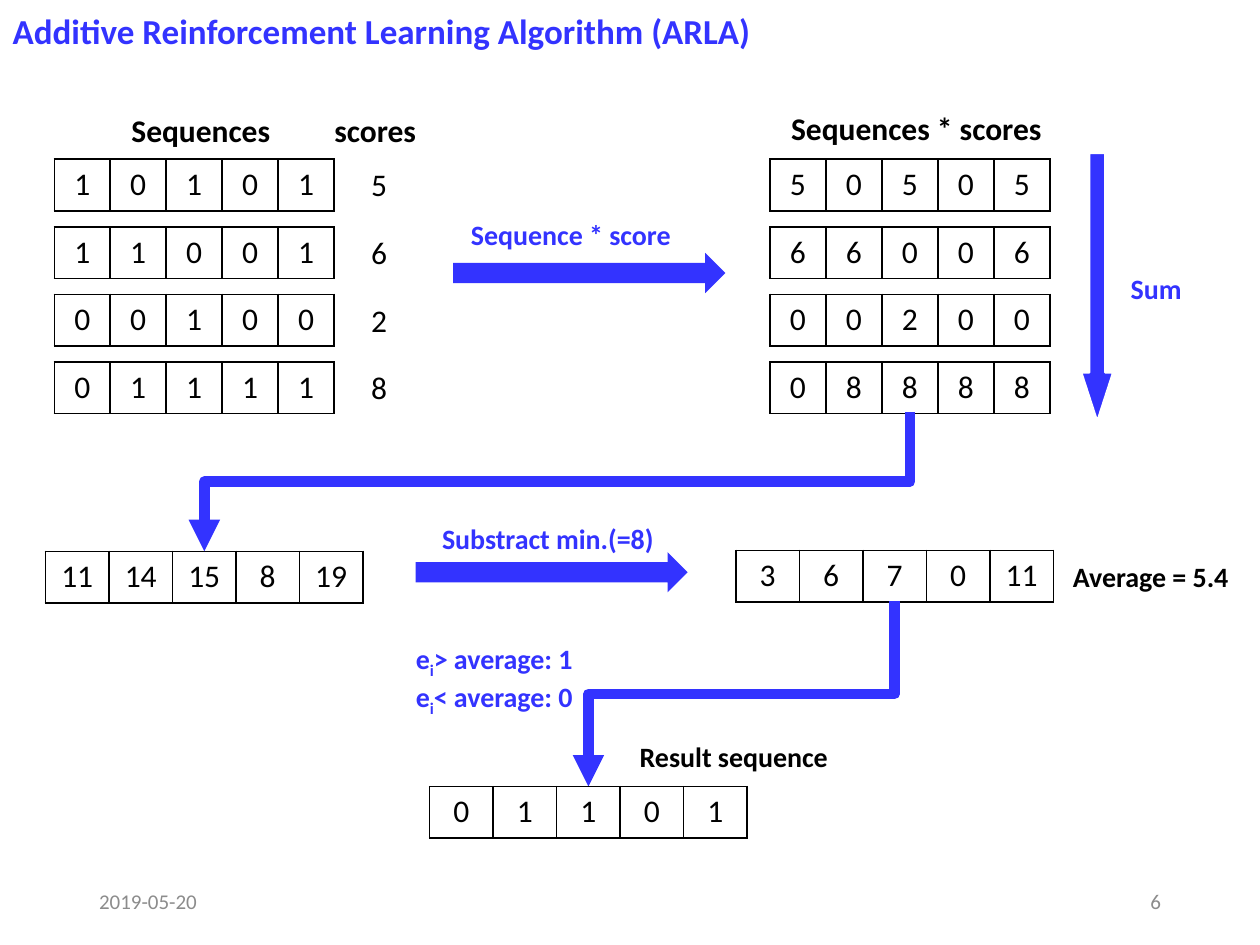
from lxml import etree
from pptx import Presentation
from pptx.dml.color import RGBColor
from pptx.enum import shapes, text
from pptx.oxml import ns
from pptx.util import Pt

BLUE = RGBColor(0x33, 0x33, 0xFF)
BLACK = RGBColor(0, 0, 0)
WHITE = RGBColor(0xFF, 0xFF, 0xFF)
GRAY = RGBColor(0x8C, 0x8C, 0x8C)
FONT = "Calibri"

ROW_HEIGHT = 29.5
ROW_PITCH = 38.6
NARROW, WIDE = 32, 36.3

SEQUENCES = [(1, 0, 1, 0, 1), (1, 1, 0, 0, 1), (0, 0, 1, 0, 0), (0, 1, 1, 1, 1)]
SCORES = [5, 6, 2, 8]
PRODUCTS = [[bit * score for bit in row] for row, score in zip(SEQUENCES, SCORES)]
SUMS = [sum(column) for column in zip(*PRODUCTS)]
DIFFERENCES = [value - min(SUMS) for value in SUMS]
AVERAGE = sum(DIFFERENCES) / len(DIFFERENCES)
RESULT = [int(value > AVERAGE) for value in DIFFERENCES]


def add_run(paragraph, content, size, color, bold=False):
    """Append one formatted run and return it."""
    run = paragraph.add_run()
    run.text = content
    font = run.font
    font.name, font.size, font.bold = FONT, Pt(size), bold
    font.color.rgb = color
    return run


def add_label(slide, box, content, size=16, color=BLACK, bold=True):
    """Place a one-line label in a box and return its paragraph."""
    shape = slide.shapes.add_textbox(*map(Pt, box))
    shape.text_frame.word_wrap = True
    paragraph = shape.text_frame.paragraphs[0]
    if content:
        add_run(paragraph, content, size, color, bold)
    return paragraph


def outline_cell(cell):
    """Give a cell thin black borders and no fill."""
    cell.fill.background()
    properties = cell._tc.get_or_add_tcPr()
    for index, side in enumerate(("lnL", "lnR", "lnT", "lnB")):
        line = etree.Element(ns.qn(f"a:{side}"), w=str(Pt(1)))
        fill = etree.SubElement(line, ns.qn("a:solidFill"))
        etree.SubElement(fill, ns.qn("a:srgbClr"), val=str(BLACK))
        properties.insert(index, line)


def add_sequence(slide, left, top, values, cell_width):
    """Draw a sequence as a table of one row."""
    frame = slide.shapes.add_table(1, len(values), Pt(left), Pt(top),
                                   Pt(cell_width * len(values)), Pt(ROW_HEIGHT))
    table = frame.table
    table.first_row = table.horz_banding = False
    for column, cell, value in zip(table.columns, table.rows[0].cells, values):
        column.width = Pt(cell_width)
        outline_cell(cell)
        paragraph = cell.text_frame.paragraphs[0]
        paragraph.alignment = text.PP_ALIGN.CENTER
        add_run(paragraph, str(value), 18, BLACK)


def add_sequence_stack(slide, left, top, rows):
    """Draw sequences below one another at an equal pitch."""
    for index, values in enumerate(rows):
        add_sequence(slide, left, top + index * ROW_PITCH, values, NARROW)


def add_block_arrow(slide, left, top, width, height):
    """Draw a blue block arrow pointing right and return it."""
    arrow = slide.shapes.add_shape(shapes.MSO_SHAPE.RIGHT_ARROW,
                                   *map(Pt, (left, top, width, height)))
    arrow.shadow.inherit = False
    arrow.fill.solid()
    arrow.fill.fore_color.rgb = BLUE
    arrow.line.fill.background()
    return arrow


def add_bent_arrow(slide, start_x, start_y, end_x, end_y):
    """Draw a thick elbow arrow that goes down, left and down again."""
    middle_x, middle_y = (start_x + end_x) / 2, (start_y + end_y) / 2
    half_drop, half_run = (end_y - start_y) / 2, (start_x - end_x) / 2
    connector = slide.shapes.add_connector(
        shapes.MSO_CONNECTOR.ELBOW,
        Pt(middle_x - half_drop), Pt(middle_y - half_run),
        Pt(middle_x + half_drop), Pt(middle_y + half_run))
    connector.line.color.rgb = BLUE
    connector.line.width = Pt(6)
    properties = connector._element.spPr
    properties.find(ns.qn("a:xfrm")).set("rot", "5400000")
    etree.SubElement(connector.line._get_or_add_ln(), ns.qn("a:tailEnd"), type="triangle")
    etree.SubElement(properties, ns.qn("a:effectLst"))


def add_title(slide, left, top, width, height):
    """Move and format the title placeholder."""
    title = slide.shapes.title
    title.left, title.top, title.width, title.height = map(Pt, (left, top, width, height))
    frame = title.text_frame
    frame.word_wrap = False
    frame.auto_size = text.MSO_AUTO_SIZE.NONE
    frame.vertical_anchor = text.MSO_ANCHOR.TOP
    paragraph = frame.paragraphs[0]
    paragraph.alignment = text.PP_ALIGN.LEFT
    add_run(paragraph, "Additive Reinforcement Learning Algorithm (ARLA)", 20, BLUE, True)


def add_scored_sequences(slide, left, top):
    """Draw the input sequences with their scores."""
    add_label(slide, (left + 37, top, 98, 29), "Sequences", 18)
    add_label(slide, (left + 153, top, 61, 29), "scores", 18)
    add_sequence_stack(slide, left, top + 31, SEQUENCES)
    for index, score in enumerate(SCORES):
        box = (left + 174, top + 31 + index * ROW_PITCH, 20, 29)
        add_label(slide, box, str(score), 18, bold=False)


def add_products(slide, left, top):
    """Draw the weighted sequences and the arrow that sums them."""
    add_label(slide, (left + 5, top - 1.5, 160, 29), "Sequences * scores", 18)
    add_sequence_stack(slide, left, top + 31, PRODUCTS)
    arrow = add_block_arrow(slide, left + 110, top + 95, 154, 18.5)
    arrow.rotation = 90
    arrow.adjustments[1] = 1.54
    arrow.line.color.rgb = WHITE
    arrow.line.width = Pt(1.5)
    add_label(slide, (left + 199, top + 91.5, 44, 27), "Sum", color=BLUE)


def add_step(slide, left, top, caption, caption_left, caption_top):
    """Draw a step arrow with its caption offset from the arrow."""
    add_block_arrow(slide, left, top, 155.5, 23)
    add_label(slide, (left + caption_left, top + caption_top, 140, 27), caption, color=BLUE)


def add_rules(slide, left, top):
    """Write the two threshold rules with subscripts."""
    first = add_label(slide, (left, top, 106, 46), "")
    second = first._parent.add_paragraph()
    for paragraph, rule in ((first, "> average: 1"), (second, "< average: 0")):
        add_run(paragraph, "e", 16, BLUE, True)
        subscript = add_run(paragraph, "i", 16, BLUE, True)
        subscript.font._element.set("baseline", "-25000")
        add_run(paragraph, rule, 16, BLUE, True)


def add_footer(slide, left, top, width, height):
    """Place the date and the slide number at the two ends."""
    for offset, content, alignment in ((0, "2019-05-20", text.PP_ALIGN.LEFT),
                                       (width - 162, "6", text.PP_ALIGN.RIGHT)):
        paragraph = add_label(slide, (left + offset, top, 162, height),
                              content, 12, GRAY, False)
        paragraph.alignment = alignment
        paragraph._parent.vertical_anchor = text.MSO_ANCHOR.MIDDLE


def main():
    """Build the slide and save it."""
    presentation = Presentation()
    presentation.slide_width, presentation.slide_height = Pt(720), Pt(540)
    slide = presentation.slides.add_slide(presentation.slide_layouts[5])
    add_title(slide, 0, 2, 440, 31.5)
    add_scored_sequences(slide, 31, 60)
    add_step(slide, 259, 144.5, "Sequence * score", 3, -24)
    add_products(slide, 440, 60)
    add_sequence(slide, 26, 315, SUMS, WIDE)
    add_bent_arrow(slide, 520, 235.5, 116.75, 315)
    add_step(slide, 237.5, 315.5, "Substract min.(=8)", 8, -21)
    add_sequence(slide, 420.5, 314.5, DIFFERENCES, WIDE)
    add_label(slide, (606, 316, 106, 27), f"Average = {AVERAGE}")
    add_rules(slide, 230.5, 363)
    add_bent_arrow(slide, 511.25, 343.5, 336.25, 449.5)
    add_label(slide, (358.5, 419, 124, 27), "Result sequence")
    add_sequence(slide, 245.5, 449.5, RESULT, WIDE)
    add_footer(slide, 49.5, 500.5, 621, 29)
    presentation.save("out.pptx")


if __name__ == "__main__":
    main()
